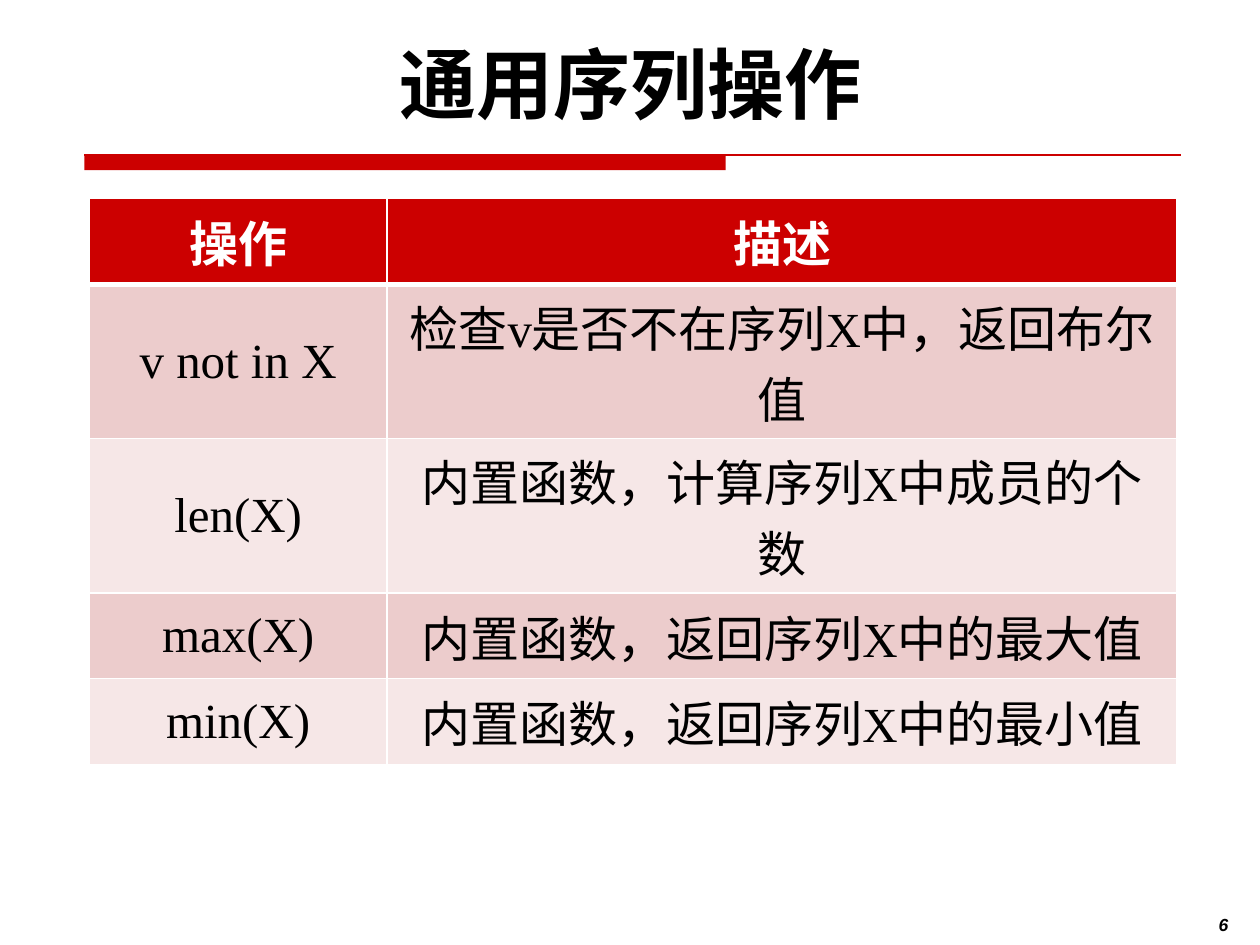
from lxml.etree import SubElement
from pptx import Presentation
from pptx.dml.color import RGBColor
from pptx.enum.shapes import MSO_CONNECTOR as Connector, MSO_SHAPE as Shape
from pptx.enum.text import MSO_ANCHOR as Anchor, MSO_AUTO_SIZE as AutoSize, PP_ALIGN as Align
from pptx.oxml.ns import qn
from pptx.util import Cm, Pt

RED, WHITE, BLACK = "CC0000", "FFFFFF", "000000"
BANDS = ["F6E7E7", "ECCCCC"]


def color(value):
    return RGBColor.from_string(value)


def style_text(frame, text, alignment, font_values, font_color, frame_values):
    for name, value in frame_values.items():
        setattr(frame, name, value)
    paragraph = frame.paragraphs[0]
    paragraph.alignment = alignment
    run = paragraph.add_run()
    run.text = text
    for name, value in font_values.items():
        setattr(run.font, name, value)
    run.font.color.rgb = color(font_color)


presentation = Presentation()
presentation.slide_width = Cm(25.4)
presentation.slide_height = Cm(19.05)
slide = presentation.slides.add_slide(presentation.slide_layouts[5])

bar = slide.shapes.add_shape(Shape.RECTANGLE, Cm(1.7), Cm(3.12), Cm(12.93), Cm(0.31))
bar.shadow.inherit = False
bar.fill.solid()
bar.fill.fore_color.rgb = color(RED)
bar.line.fill.background()

rule = slide.shapes.add_connector(Connector.STRAIGHT, Cm(1.7), Cm(3.13), Cm(23.8), Cm(3.13))
rule.line.color.rgb = color(RED)
rule.line.width = Pt(1)
SubElement(rule.line._get_or_add_ln().getparent(), qn("a:effectLst"))

title = slide.shapes.title
title_place = {"left": Cm(1.6), "top": Cm(0.84), "width": Cm(22.23), "height": Cm(1.88)}
for name, value in title_place.items():
    setattr(title, name, value)
style_text(title.text_frame, "通用序列操作", Align.CENTER,
           {"name": "Lato", "size": Pt(44), "bold": True}, BLACK,
           {"vertical_anchor": Anchor.BOTTOM, "auto_size": AutoSize.NONE, "word_wrap": True})

page_number = slide.shapes.add_textbox(Cm(22.66), Cm(17.83), Cm(2.1), Cm(1.02))
margins = dict.fromkeys(["margin_left", "margin_top", "margin_right", "margin_bottom"], 0)
style_text(page_number.text_frame, "6", Align.RIGHT,
           {"name": "Arial", "size": Pt(10), "bold": True, "italic": True}, BLACK,
           {"vertical_anchor": Anchor.BOTTOM, "word_wrap": True, **margins})

one_line, two_lines = Cm(1.73), Cm(3.11)
operations = [
    (one_line, "操作", "描述"),
    (two_lines, "v not in X", "检查v是否不在序列X中，返回布尔值"),
    (two_lines, "len(X)", "内置函数，计算序列X中成员的个数"),
    (one_line, "max(X)", "内置函数，返回序列X中的最大值"),
    (one_line, "min(X)", "内置函数，返回序列X中的最小值"),
]
table_height = sum(height for height, *_ in operations)
table = slide.shapes.add_table(len(operations), 2, Cm(1.8), Cm(4), Cm(21.93), table_height).table
for column, width in zip(table.columns, [Cm(6), Cm(15.93)]):
    column.width = width

for row_index, (height, *texts) in enumerate(operations):
    table.rows[row_index].height = height
    header = row_index == 0
    for column_index, text in enumerate(texts):
        cell = table.cell(row_index, column_index)
        cell.vertical_anchor = Anchor.MIDDLE
        style_text(cell.text_frame, text, Align.CENTER,
                   {"name": "Times New Roman", "size": Pt(28), "bold": header},
                   WHITE if header else BLACK, {})
        cell_properties = cell._tc.get_or_add_tcPr()
        border_widths = {"lnL": 1, "lnR": 1,
                         "lnT": 3 if row_index == 1 else 1,
                         "lnB": 3 if header else 1}
        for side, width in border_widths.items():
            border = SubElement(cell_properties, qn(f"a:{side}"), w=str(Pt(width)))
            border_fill = SubElement(border, qn("a:solidFill"))
            SubElement(border_fill, qn("a:srgbClr"), val=WHITE)
        cell.fill.solid()
        cell.fill.fore_color.rgb = color(RED if header else BANDS[row_index % 2])

presentation.save("out.pptx")
